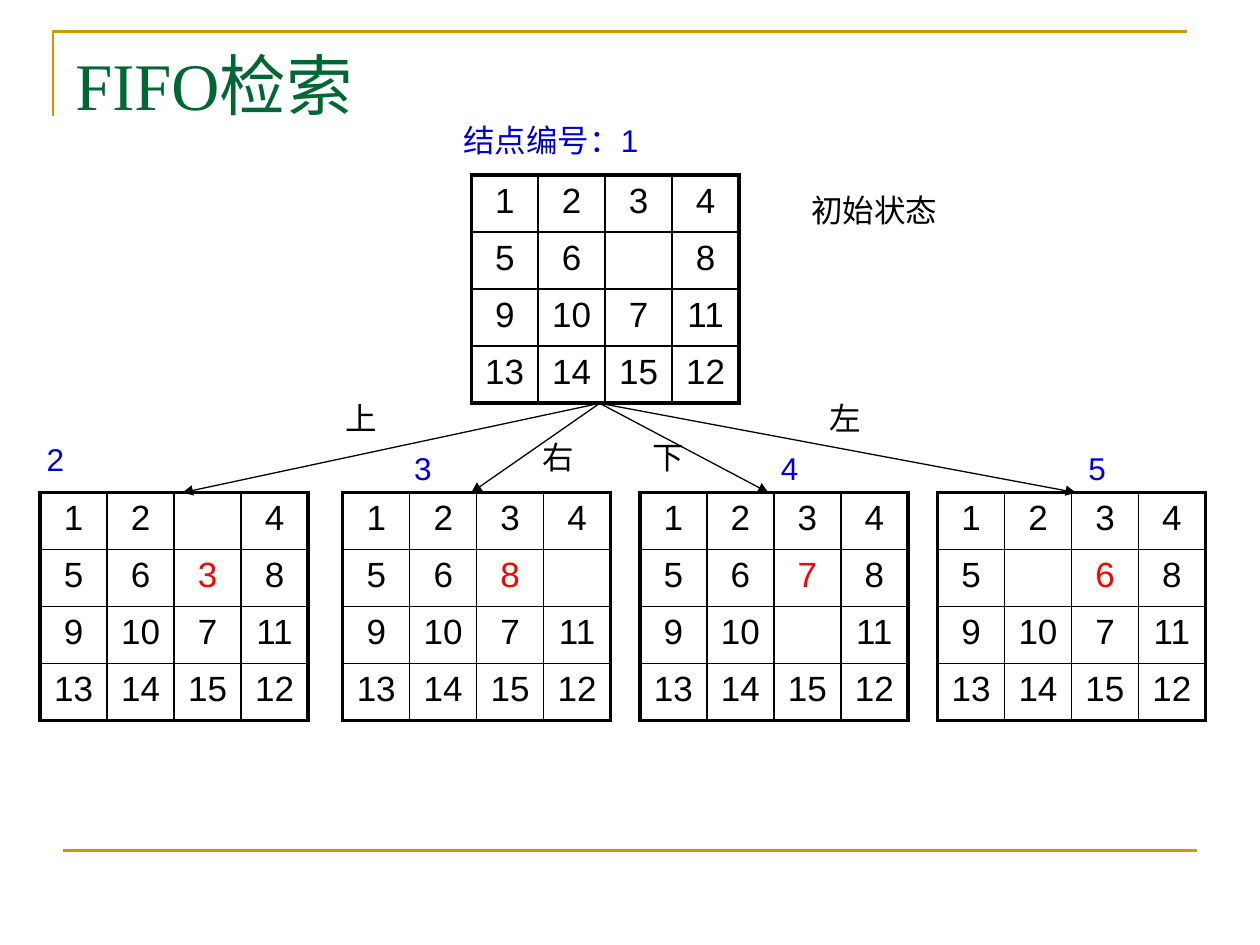
from lxml.etree import SubElement
from pptx import Presentation
from pptx.dml.color import RGBColor
from pptx.enum.shapes import MSO_CONNECTOR as Connector
from pptx.enum.text import MSO_ANCHOR as Anchor, PP_ALIGN as Align
from pptx.oxml import parse_xml
from pptx.oxml.ns import nsdecls, qn
from pptx.util import Cm, Pt

BLACK = RGBColor(0x00, 0x00, 0x00)
RED = RGBColor(0xFF, 0x00, 0x00)
BLUE = RGBColor(0x00, 0x00, 0xCC)
GREEN = RGBColor(0x00, 0x66, 0x33)
GOLD = RGBColor(0xCC, 0x99, 0x00)

SIZE = 4
COLUMN_WIDTH, ROW_HEIGHT = 1.35, 1.15
CHILD_TOP = 9.93
ROOT_EXIT = (12.09, 8.13)
ROOT_BOARD = [
    ["1", "2", "3", "4"],
    ["5", "6", "", "8"],
    ["9", "10", "7", "11"],
    ["13", "14", "15", "12"],
]
BLANK = (1, 2)

# move, row step, column step, move label, node number, number position, board left, arrow tip
CHILDREN = [
    ("上", -1, 0, (6.71, 7.92), "2", (0.69, 8.74), 0.81, 3.68),
    ("右", 0, 1, (10.69, 8.71), "3", (8.1, 8.92), 6.91, 9.5),
    ("下", 1, 0, (12.9, 8.71), "4", (15.49, 8.92), 12.9, 15.49),
    ("左", 0, -1, (16.48, 7.92), "5", (21.69, 8.92), 18.9, 21.69),
]


def add_run(paragraph, text, size, color, font="Arial"):
    """Append one formatted run to a paragraph."""
    run = paragraph.add_run()
    run.text = text
    run.font.size = Pt(size)
    run.font.name = font
    run.font.color.rgb = color


def add_label(slide, text, position, width, color=BLACK, height=1.02, size=18, font="Arial"):
    """Place a left-aligned line of text."""
    left, top = position
    shape = slide.shapes.add_textbox(Cm(left), Cm(top), Cm(width), Cm(height))
    shape.text_frame.word_wrap = True
    shape.text_frame.vertical_anchor = Anchor.TOP
    add_run(shape.text_frame.paragraphs[0], text, size, color, font)


def add_line(slide, start, end, color, width, arrow=False):
    """Draw a straight line, with an arrowhead at its end if wanted."""
    line = slide.shapes.add_connector(
        Connector.STRAIGHT, Cm(start[0]), Cm(start[1]), Cm(end[0]), Cm(end[1]))
    line.line.color.rgb = color
    line.line.width = Pt(width)
    if arrow:
        SubElement(line.line._get_or_add_ln(), qn("a:tailEnd"), type="triangle")
    SubElement(line._element.spPr, qn("a:effectLst"))


def add_title_frame(slide):
    """Draw the gold corner around the title."""
    builder = slide.shapes.build_freeform(Cm(1.07), Cm(2.34))
    builder.add_line_segments([(Cm(1.07), Cm(0.64)), (Cm(23.93), Cm(0.64))], close=False)
    shape = builder.convert_to_shape()
    shape.shadow.inherit = False
    shape.fill.background()
    shape.line.color.rgb = GOLD
    shape.line.width = Pt(1.5)


def set_borders(cell, row, column):
    """Give a cell thin inner borders and thick outer ones."""
    properties = cell._tc.get_or_add_tcPr()
    outer = {"L": column == 0, "R": column == SIZE - 1, "T": row == 0, "B": row == SIZE - 1}
    for index, (side, thick) in enumerate(outer.items()):
        properties.insert(index, parse_xml(
            f'<a:ln{side} {nsdecls("a")} w="{Pt(2.25 if thick else 1)}">'
            f'<a:solidFill><a:srgbClr val="{BLACK}"/></a:solidFill></a:ln{side}>'))


def add_board(slide, numbers, left, top, moved=None):
    """Add a puzzle board as a table, with the moved tile in red."""
    table = slide.shapes.add_table(
        SIZE, SIZE, Cm(left), Cm(top), Cm(SIZE * COLUMN_WIDTH), Cm(SIZE * ROW_HEIGHT)).table
    table.first_row = False
    table.horz_banding = False
    for column in table.columns:
        column.width = Cm(COLUMN_WIDTH)
    for row, line in enumerate(numbers):
        table.rows[row].height = Cm(ROW_HEIGHT)
        for column, number in enumerate(line):
            cell = table.cell(row, column)
            cell.fill.background()
            set_borders(cell, row, column)
            if number:
                paragraph = cell.text_frame.paragraphs[0]
                paragraph.alignment = Align.CENTER
                add_run(paragraph, number, 20, RED if (row, column) == moved else BLACK)


def move_blank(row_step, column_step):
    """Return the root board with the blank swapped with a neighbour."""
    board = [list(line) for line in ROOT_BOARD]
    row, column = BLANK
    next_row, next_column = row + row_step, column + column_step
    board[row][column] = board[next_row][next_column]
    board[next_row][next_column] = ""
    return board


def main():
    """Build the slide and save it."""
    presentation = Presentation()
    presentation.slide_width, presentation.slide_height = Cm(25.4), Cm(19.05)
    slide = presentation.slides.add_slide(presentation.slide_layouts[6])

    add_title_frame(slide)
    add_line(slide, (1.27, 17.15), (24.13, 17.15), GOLD, 1.5)
    add_label(slide, "FIFO检索", (1.27, 0.76), 22.86, GREEN, 3.18, 38, "Times New Roman")

    add_board(slide, ROOT_BOARD, 9.5, 3.53)
    add_label(slide, "初始状态", (16.1, 3.73), 4)
    add_label(slide, "结点编号：1", (9.09, 2.31), 4.4, BLUE)

    for move, row_step, column_step, move_at, node, node_at, left, tip in CHILDREN:
        add_board(slide, move_blank(row_step, column_step), left, CHILD_TOP, BLANK)
        add_line(slide, ROOT_EXIT, (tip, CHILD_TOP), BLACK, 0.75, arrow=True)
        add_label(slide, move, move_at, 1.6)
        add_label(slide, node, node_at, 1, BLUE)

    presentation.save("out.pptx")


main()
